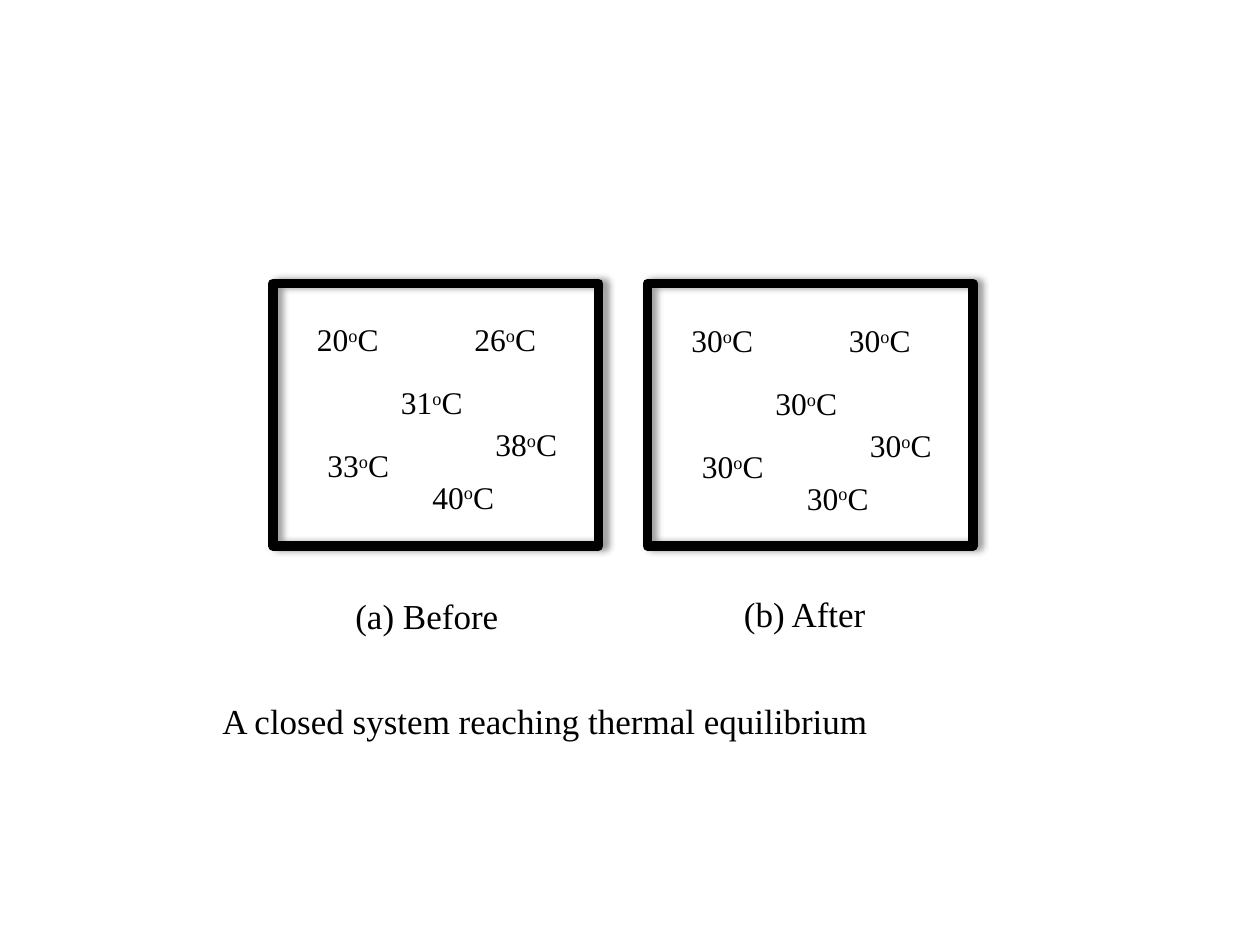
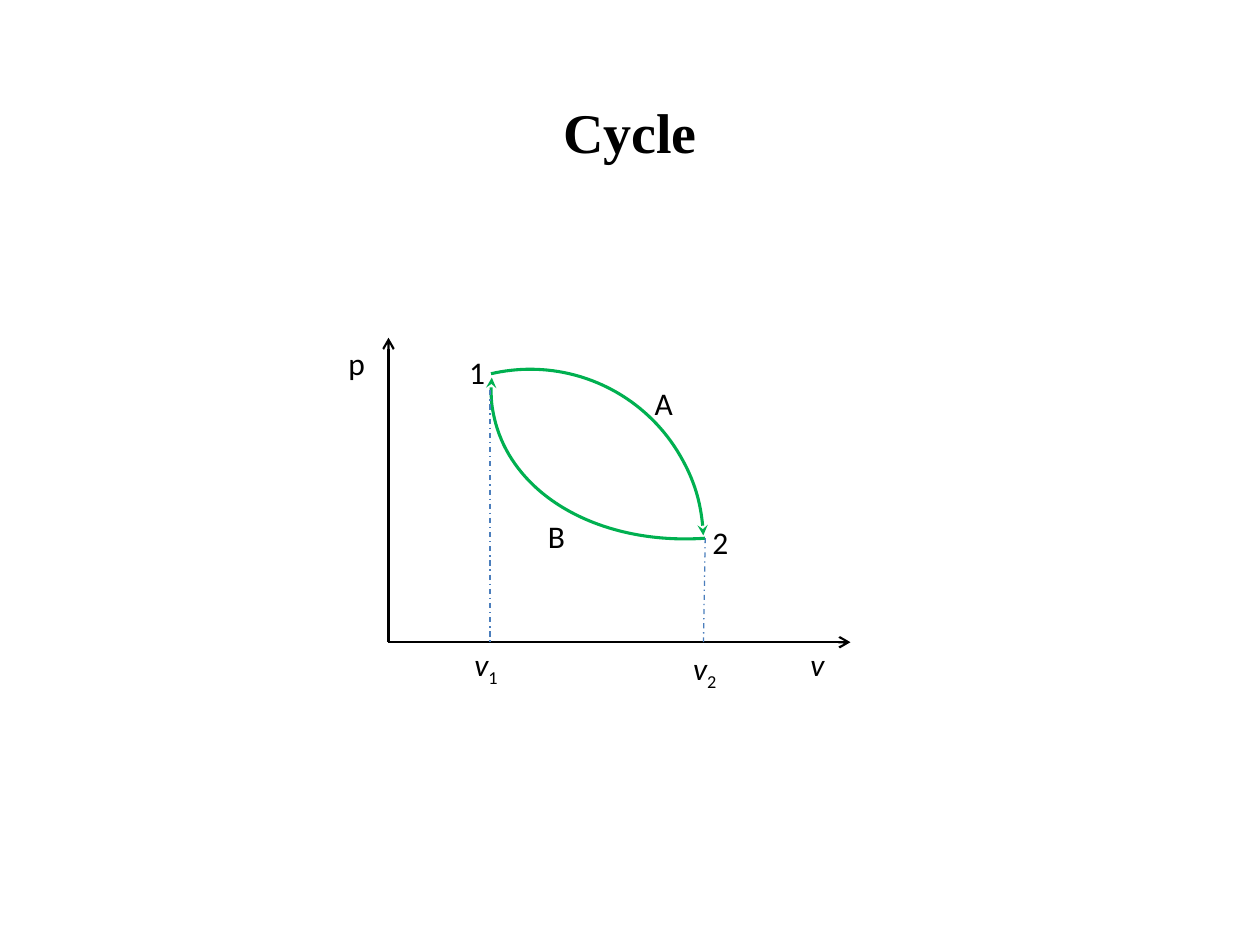
import pptx
import pptx.util
import pptx.dml.color
import pptx.enum.dml
import pptx.enum.shapes
import pptx.enum.text
import pptx.oxml
import pptx.oxml.xmlchemy

Pt = pptx.util.Pt
RGBColor = pptx.dml.color.RGBColor
Shape = pptx.enum.shapes.MSO_SHAPE
Anchor = pptx.enum.text.MSO_ANCHOR
Align = pptx.enum.text.PP_ALIGN
OxmlElement = pptx.oxml.xmlchemy.OxmlElement

BLACK = RGBColor(0x00, 0x00, 0x00)
GREEN = RGBColor(0x00, 0xB0, 0x50)
BLUE = RGBColor(0x4B, 0x7E, 0xBC)
SERIF = "Times New Roman"
SANS = "Calibri"
LABEL_HEIGHT = 29


def add_text(shapes, spans, left, top, width, height=LABEL_HEIGHT, font=SERIF,
             size=18, bold=False, align=Align.LEFT, anchor=Anchor.TOP):
    """Add a text box; each span is (text, baseline shift in percent, italic)."""
    box = shapes.add_textbox(Pt(left), Pt(top), Pt(width), Pt(height))
    frame = box.text_frame
    frame.word_wrap = True
    frame.vertical_anchor = anchor
    para = frame.paragraphs[0]
    para.alignment = align
    for text, baseline, italic in spans:
        span = para.add_run()
        span.text = text
        span.font.name = font
        span.font.size = Pt(size)
        span.font.bold = bold
        span.font.italic = italic
        span.font.color.rgb = BLACK
        if baseline:
            span._r.get_or_add_rPr().set("baseline", str(baseline * 1000))


def style_line(shape, color, width, dash=None, arrow=None):
    """Style an outline or connector and return its empty effect list."""
    shape.line.color.rgb = color
    shape.line.width = Pt(width)
    if dash:
        shape.line.dash_style = dash
    if arrow:
        tail = OxmlElement("a:tailEnd")
        tail.set("type", arrow)
        shape.line._get_or_add_ln().append(tail)
    effects = OxmlElement("a:effectLst")
    shape._element.spPr.append(effects)
    return effects


deck = pptx.Presentation()
deck.slide_width = Pt(720)
deck.slide_height = Pt(540)
blank = deck.slide_layouts[6]

# Slide 1: temperatures in a closed system before and after equilibrium
page = deck.slides.add_slide(blank)
add_text(page.shapes, [("A closed system reaching thermal equilibrium", 0, False)],
         120, 396, 540, 32, size=20)

SYSTEM_TOP = 162
LABEL_OFFSETS = [(18, 18), (108, 18), (66, 54), (24, 90), (120, 78), (84, 108)]
systems = [
    # left, label shift, temperatures, caption, caption left, caption top
    (156, -0.6, (20, 26, 31, 33, 38, 40), "(a) Before", 196, 336.2),
    (370, 0, (30,) * 6, "(b) After", 418, 335),
]
for left, shift, temperatures, caption, caption_left, caption_top in systems:
    wall = page.shapes.add_shape(Shape.RECTANGLE, Pt(left), Pt(SYSTEM_TOP), Pt(186), Pt(150))
    wall.fill.background()
    effects = style_line(wall, BLACK, 5.5)
    shadow = OxmlElement("a:outerShdw")
    for name, value in (("blurRad", Pt(4)), ("dist", Pt(3)), ("dir", 0),
                        ("algn", "l"), ("rotWithShape", 0)):
        shadow.set(name, str(value))
    shade = OxmlElement("a:srgbClr")
    shade.set("val", str(BLACK))
    alpha = OxmlElement("a:alpha")
    alpha.set("val", "40000")
    shade.append(alpha)
    shadow.append(shade)
    effects.append(shadow)

    for (across, down), temperature in zip(LABEL_OFFSETS, temperatures):
        add_text(page.shapes, [(str(temperature), 0, False), ("o", 30, False), ("C", 0, False)],
                 left + across, SYSTEM_TOP + down + shift, 60)
    add_text(page.shapes, [(caption, 0, False)], caption_left, caption_top, 114, 32, size=20)

# Slide 2: a cycle between two states on the p-v plane
page = deck.slides.add_slide(blank)
add_text(page.shapes, [("Cycle", 0, False)], 36, 48, 648, 54, size=32, bold=True,
         align=Align.CENTER, anchor=Anchor.MIDDLE)
diagram = page.shapes.add_group_shape().shapes

arcs = [
    # left, top, width, height, rotation, start and end adjustments
    (279.2, 114, 258, 192, 166.9, (171.768, 6.293)),
    (204, 211, 198, 198, 0, (154.147, 214.592)),
]
for left, top, width, height, rotation, ends in arcs:
    arc = diagram.add_shape(Shape.ARC, Pt(left), Pt(top), Pt(width), Pt(height))
    arc.rotation = rotation
    arc.adjustments[0], arc.adjustments[1] = ends
    arc.fill.background()
    style_line(arc, GREEN, 1.75, arrow="stealth")

AXIS_LEFT, AXIS_BASE = 222, 367
DASH_DOT = pptx.enum.dml.MSO_LINE.DASH_DOT
lines = [
    # start x, start y, end x, end y, colour, width, dash, arrow
    (AXIS_LEFT, AXIS_BASE, AXIS_LEFT, 193, BLACK, 1.25, None, "arrow"),
    (AXIS_LEFT, AXIS_BASE, 486, AXIS_BASE, BLACK, 1.25, None, "arrow"),
    (403, 307.5, 402, AXIS_BASE, BLUE, 0.75, DASH_DOT, None),
    (280, 223, 280, AXIS_BASE, BLUE, 0.75, DASH_DOT, None),
]
for start_x, start_y, end_x, end_y, color, width, dash, arrow in lines:
    line = diagram.add_connector(pptx.enum.shapes.MSO_CONNECTOR.STRAIGHT,
                                 Pt(start_x), Pt(start_y), Pt(end_x), Pt(end_y))
    style_line(line, color, width, dash, arrow)

labels = [
    # text, subscript, left, top, width
    ("A", "", 367, 216, 30),
    ("B", "", 306, 292, 30),
    ("2", "", 400, 295.5, 30),
    ("1", "", 261, 198, 30),
    ("v", "", 456, 365, 30),
    ("p", "", 192, 193, 30),
    ("v", "1", 264, 365, 42),
    ("v", "2", 389, 367.5, 42),
]
for text, subscript, left, top, width in labels:
    spans = [(text, 0, text == "v")]
    if subscript:
        spans.append((subscript, -25, False))
    add_text(diagram, spans, left, top, width, font=SANS)

deck.save("out.pptx")
